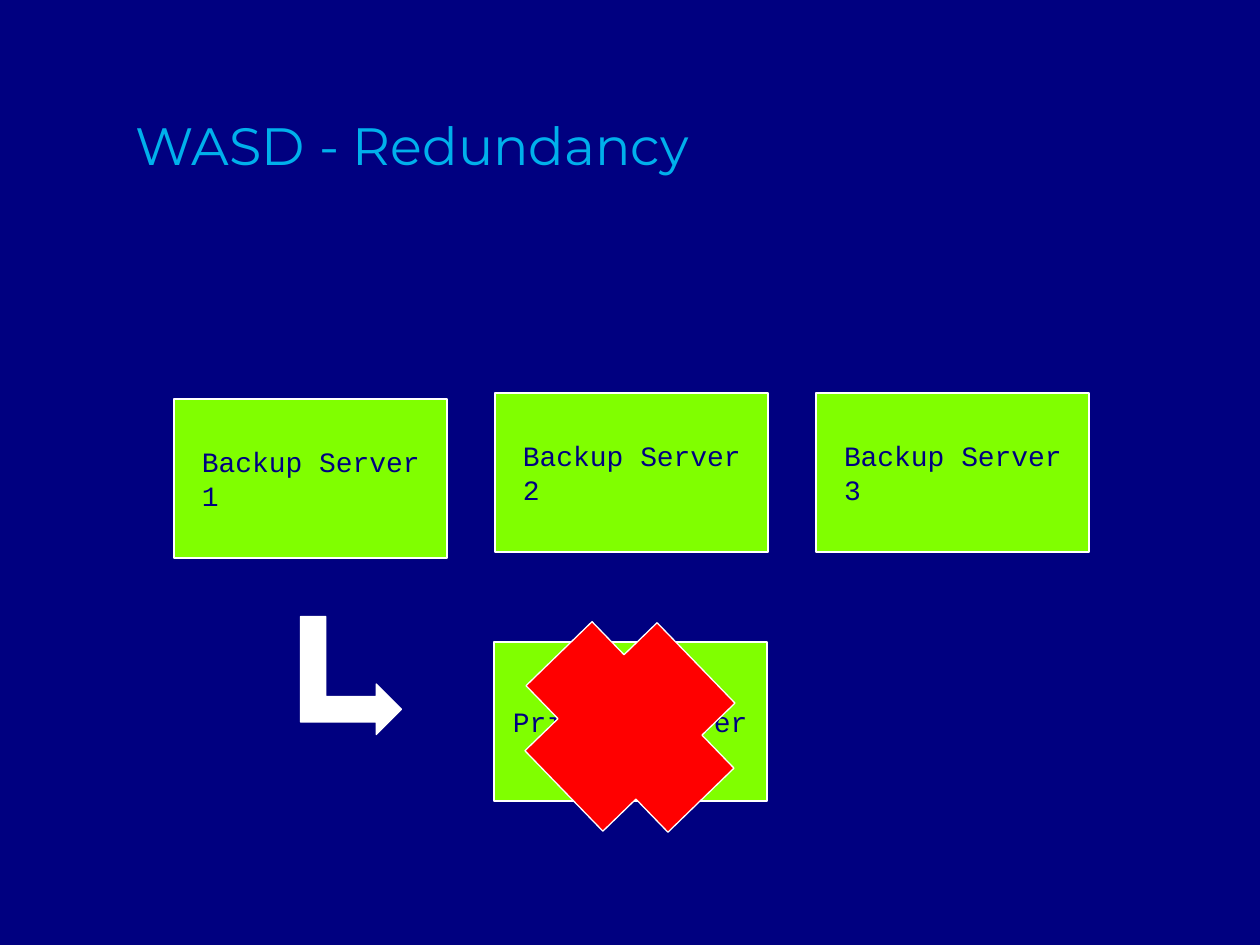
import pptx
import pptx.util
import pptx.dml.color
import pptx.enum.shapes
import pptx.enum.text

SCALE = 914400 / 126
COLORS = {"navy": "000080", "cyan": "00B0EB", "green": "80FF00",
          "red": "FF0000", "white": "FFFFFF"}
TITLE_FONT = {"name": "Montserrat", "size": pptx.util.Pt(30), "bold": False}
SERVER_FONT = {"name": "Courier New", "size": pptx.util.Pt(16)}
SHAPES = pptx.enum.shapes.MSO_SHAPE
ALIGN_LEFT = pptx.enum.text.PP_ALIGN.LEFT


def px(n):
    """Turn pixels into EMU."""
    return pptx.util.Emu(round(n * SCALE))


def rgb(name):
    """Look up a named colour."""
    return pptx.dml.color.RGBColor.from_string(COLORS[name])


def write(tf, text, font, color):
    """Fill a text frame with one left-aligned run."""
    p = tf.paragraphs[0]
    p.alignment = ALIGN_LEFT
    r = p.add_run()
    r.text = text
    for key, value in font.items():
        setattr(r.font, key, value)
    r.font.color.rgb = rgb(color)


def add_title(s, text, box):
    """Place and format the title placeholder."""
    sp = s.shapes.title
    sp.left, sp.top, sp.width, sp.height = map(px, box)
    sp.text_frame.vertical_anchor = pptx.enum.text.MSO_ANCHOR.BOTTOM
    write(sp.text_frame, text, TITLE_FONT, "cyan")


def add_figure(s, kind, box, fill, rotation=0):
    """Add a filled preset shape with a thin white outline."""
    sp = s.shapes.add_shape(kind, *map(px, box))
    sp.shadow.inherit = False
    sp.rotation = rotation
    sp.fill.solid()
    sp.fill.fore_color.rgb = rgb(fill)
    sp.line.color.rgb = rgb("white")
    sp.line.width = pptx.util.Pt(0.75)
    return sp


def add_server(s, text, left, top, indent):
    """Add a green server box with its label."""
    tf = add_figure(s, SHAPES.RECTANGLE, (left, top, 273, 159), "green").text_frame
    tf.word_wrap = True
    tf.margin_left = px(indent)
    tf.vertical_anchor = pptx.enum.text.MSO_ANCHOR.MIDDLE
    write(tf, text, SERVER_FONT, "navy")


def main():
    """Build and save the redundancy slide."""
    prs = pptx.Presentation()
    prs.slide_width, prs.slide_height = px(1260), px(945)
    s = prs.slides.add_slide(prs.slide_layouts[5])
    s.background.fill.solid()
    s.background.fill.fore_color.rgb = rgb("navy")
    add_title(s, "WASD - Redundancy", (123, 18, 1016, 164))
    add_server(s, "Primary Server", 494, 642, 19)
    for i, top in enumerate((399, 393, 393)):
        add_server(s, f"Backup Server {i + 1}", 174 + 321 * i, top, 28)
    add_figure(s, SHAPES.CROSS, (528, 635, 204, 184), "red", 45.9)
    add_figure(s, SHAPES.BENT_UP_ARROW, (292, 625, 118, 101), "white", 90)
    prs.save("out.pptx")


if __name__ == "__main__":
    main()
